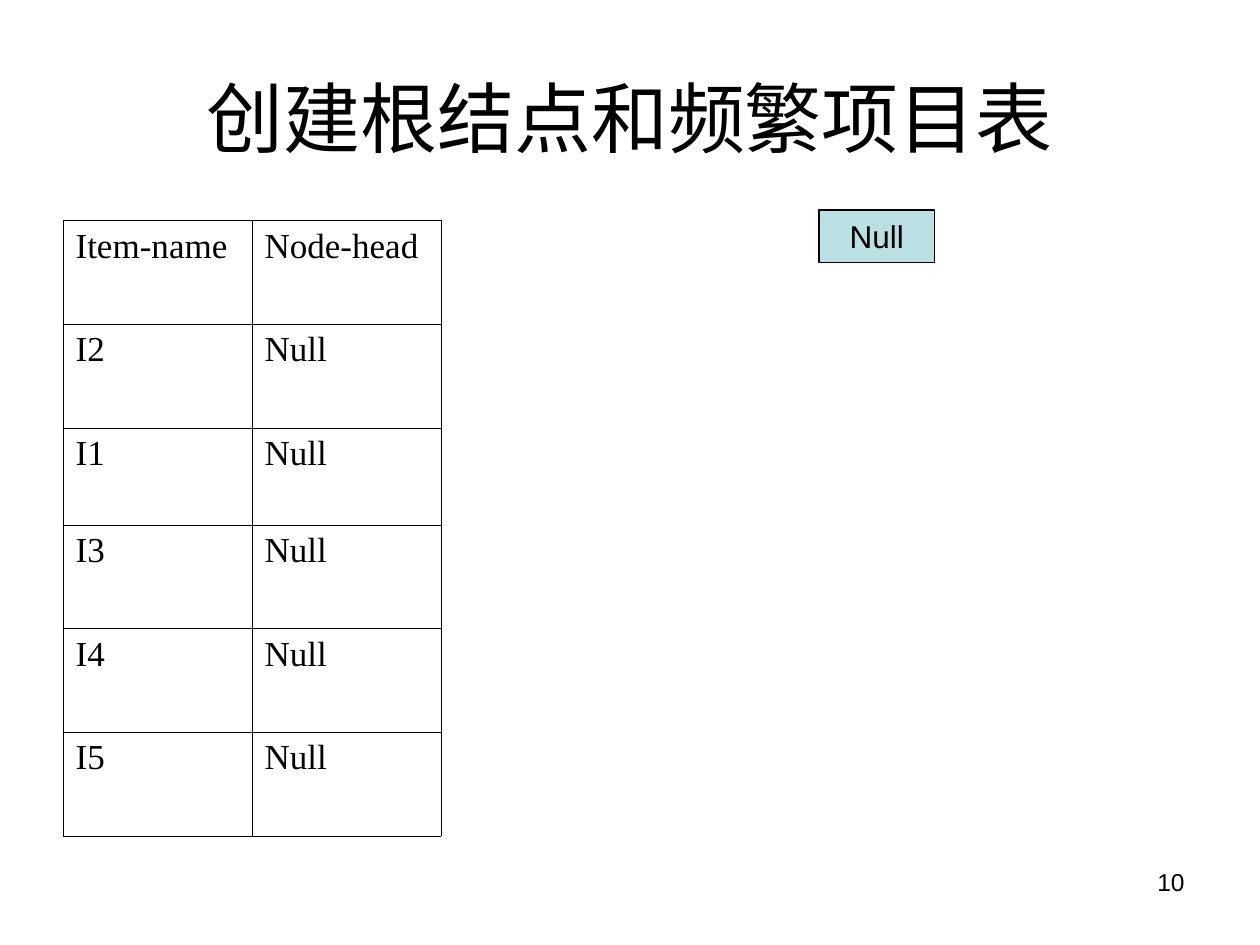
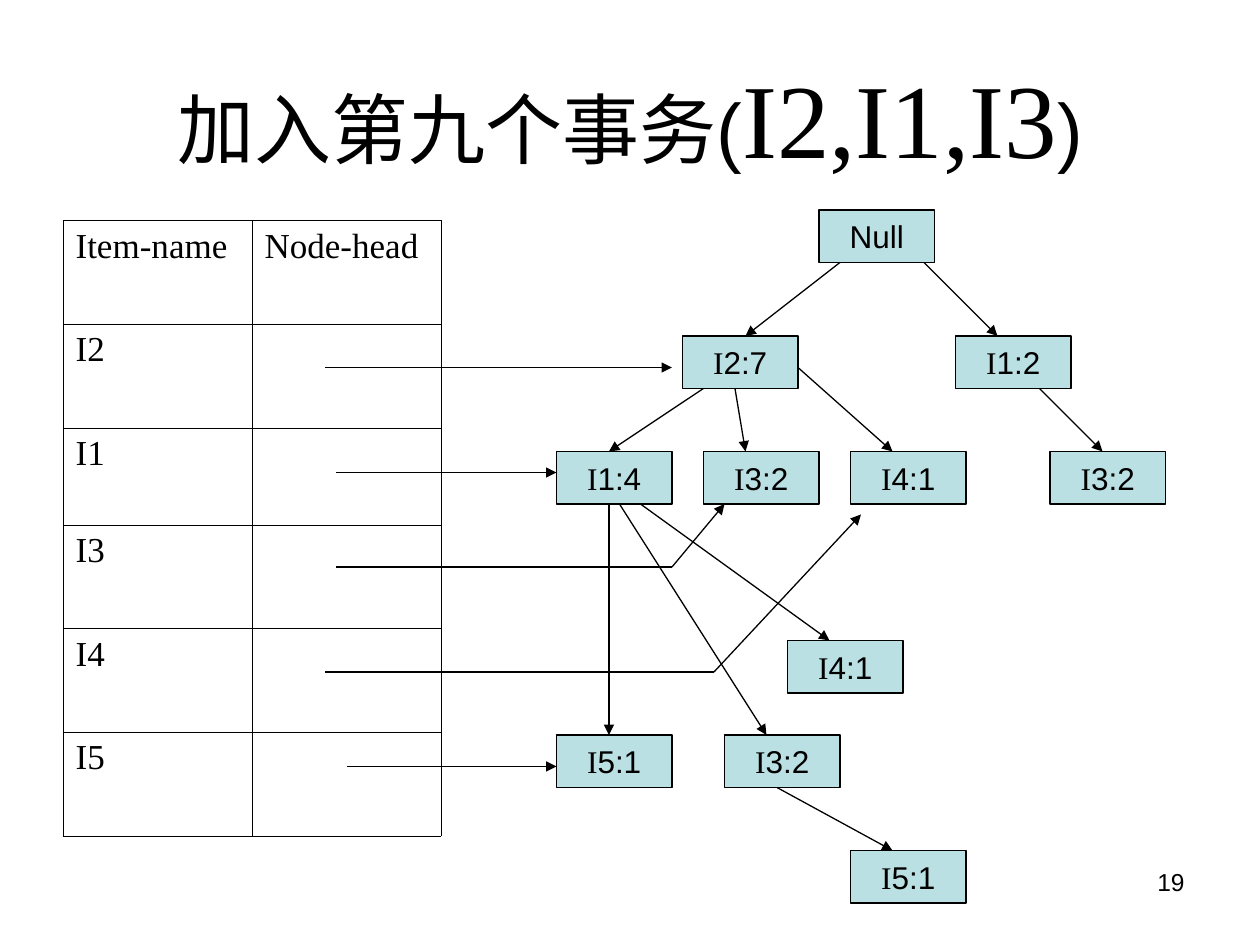
from pptx import Presentation
from pptx.dml.color import RGBColor
from pptx.enum.shapes import MSO_CONNECTOR as CONN, MSO_SHAPE as SHAPE
from pptx.enum.text import MSO_ANCHOR as ANCHOR, PP_ALIGN as ALIGN
from pptx.oxml.ns import qn
from pptx.util import Pt
from lxml.etree import SubElement

# Shared style
BLACK, NODE_FILL = "000000", "BBE0E3"
SANS, SERIF = "Arial", "Times New Roman"
LINE_W, BORDER_W = 0.75, 0.45
NODE_W, NODE_H = 66, 30
COL_W = 108
ROW_H = [59.25, 59.25, 55.5, 59.25, 59.25, 59.25]
ITEMS = ["I2", "I1", "I3", "I4", "I5"]

# Nodes: label, left, top
ROOT = ("Null", 468, 120)
TREE_NODES = [
    ROOT,
    ("I2:7", 390, 192), ("I1:2", 546, 192),
    ("I1:4", 318, 258), ("I3:2", 402, 258), ("I4:1", 486, 258), ("I3:2", 600, 258),
    ("I4:1", 450, 366),
    ("I5:1", 318, 420), ("I3:2", 414, 420),
    ("I5:1", 486, 486),
]

# Arrows from parent to child
TREE_EDGES = [
    [(480, 150), (426, 192)], [(528, 150), (570, 192)],
    [(402, 222), (348, 258)], [(420, 222), (426, 258)], [(456, 210), (510, 258)],
    [(594, 222), (630, 258)],
    [(348, 288), (348, 420)], [(354, 288), (438, 420)], [(366, 288), (474, 366)],
    [(444, 450), (510, 486)],
]

# Arrows from the table rows to the first node of each item
HEAD_LINKS = [
    [(186, 210), (384, 210)],
    [(192, 270), (318, 270)],
    [(192, 324), (384, 324), (414, 288)],
    [(186, 384), (408, 384), (492, 294)],
    [(198, 438), (318, 438)],
]


def color(hex_code):
    return RGBColor.from_string(hex_code)


def add_text(tf, text, size=18, font=SANS, align=ALIGN.LEFT):
    """Append a run to the first paragraph of a text frame."""
    p = tf.paragraphs[0]
    p.alignment = align
    r = p.add_run()
    r.text = text
    r.font.size = Pt(size)
    r.font.name = font
    r.font.color.rgb = color(BLACK)


def add_box(s, left, top, width, height, anchor=ANCHOR.TOP):
    tf = s.shapes.add_textbox(Pt(left), Pt(top), Pt(width), Pt(height)).text_frame
    tf.word_wrap = True
    tf.vertical_anchor = anchor
    return tf


def add_title(s, runs):
    tf = add_box(s, 36, 21.6, 648, 90, ANCHOR.MIDDLE)
    for text, size, font in runs:
        add_text(tf, text, size=size, font=font, align=ALIGN.CENTER)


def add_page_number(s, number):
    add_text(add_box(s, 516, 492, 168, 37.5), str(number), size=14, align=ALIGN.RIGHT)


def set_borders(cell):
    tc_pr = cell._tc.get_or_add_tcPr()
    for side in ("a:lnL", "a:lnR", "a:lnT", "a:lnB"):
        ln = SubElement(tc_pr, qn(side), w=str(Pt(BORDER_W)))
        fill = SubElement(ln, qn("a:solidFill"))
        SubElement(fill, qn("a:srgbClr"), val=BLACK)


def add_header_table(s, head_text):
    rows = [("Item-name", "Node-head")] + [(item, head_text) for item in ITEMS]
    table = s.shapes.add_table(len(rows), 2, Pt(36), Pt(126),
                               Pt(2 * COL_W), Pt(sum(ROW_H))).table
    table.first_row = table.horz_banding = False
    for column in table.columns:
        column.width = Pt(COL_W)
    for i, row in enumerate(rows):
        table.rows[i].height = Pt(ROW_H[i])
        for j, text in enumerate(row):
            cell = table.cell(i, j)
            set_borders(cell)
            cell.fill.background()
            if text:
                add_text(cell.text_frame, text, size=20, font=SERIF)


def add_node(s, label, left, top):
    sp = s.shapes.add_shape(SHAPE.RECTANGLE, Pt(left), Pt(top), Pt(NODE_W), Pt(NODE_H))
    sp.shadow.inherit = False
    sp.fill.solid()
    sp.fill.fore_color.rgb = color(NODE_FILL)
    sp.line.color.rgb = color(BLACK)
    sp.line.width = Pt(LINE_W)
    tf = sp.text_frame
    tf.word_wrap = False
    tf.vertical_anchor = ANCHOR.MIDDLE
    if label.startswith("I"):  # the item letter is set in serif
        add_text(tf, "I", font=SERIF, align=ALIGN.CENTER)
        label = label[1:]
    add_text(tf, label, align=ALIGN.CENTER)


def add_line(s, start, end, arrow):
    c = s.shapes.add_connector(CONN.STRAIGHT, *map(Pt, start + end))
    c.line.color.rgb = color(BLACK)
    c.line.width = Pt(LINE_W)
    if arrow:
        SubElement(c.line._get_or_add_ln(), qn("a:tailEnd"), type="triangle")
    SubElement(c._element.spPr, qn("a:effectLst"))


def add_arrow(s, points):
    """Draw a run of straight lines with a head on the last one."""
    for start, end in zip(points, points[1:]):
        add_line(s, start, end, arrow=end == points[-1])


def add_tree_slide(prs, title, number, head_text="", nodes=(), arrows=()):
    s = prs.slides.add_slide(prs.slide_layouts[6])
    add_title(s, title)
    add_header_table(s, head_text)
    for node in nodes:
        add_node(s, *node)
    for points in arrows:
        add_arrow(s, points)
    add_page_number(s, number)


def main():
    prs = Presentation()
    prs.slide_width, prs.slide_height = Pt(720), Pt(540)

    # Root node and empty header table
    add_tree_slide(prs, [("创建根结点和频繁项目表", 44, SANS)], 10,
                   head_text="Null", nodes=[ROOT])

    # Tree after the ninth transaction
    add_tree_slide(prs, [("加入第九个事务(", 44, SANS), ("I2,I1,I3", 60, SERIF), (")", 44, SANS)],
                   19, nodes=TREE_NODES, arrows=TREE_EDGES + HEAD_LINKS)

    prs.save("out.pptx")


if __name__ == "__main__":
    main()
